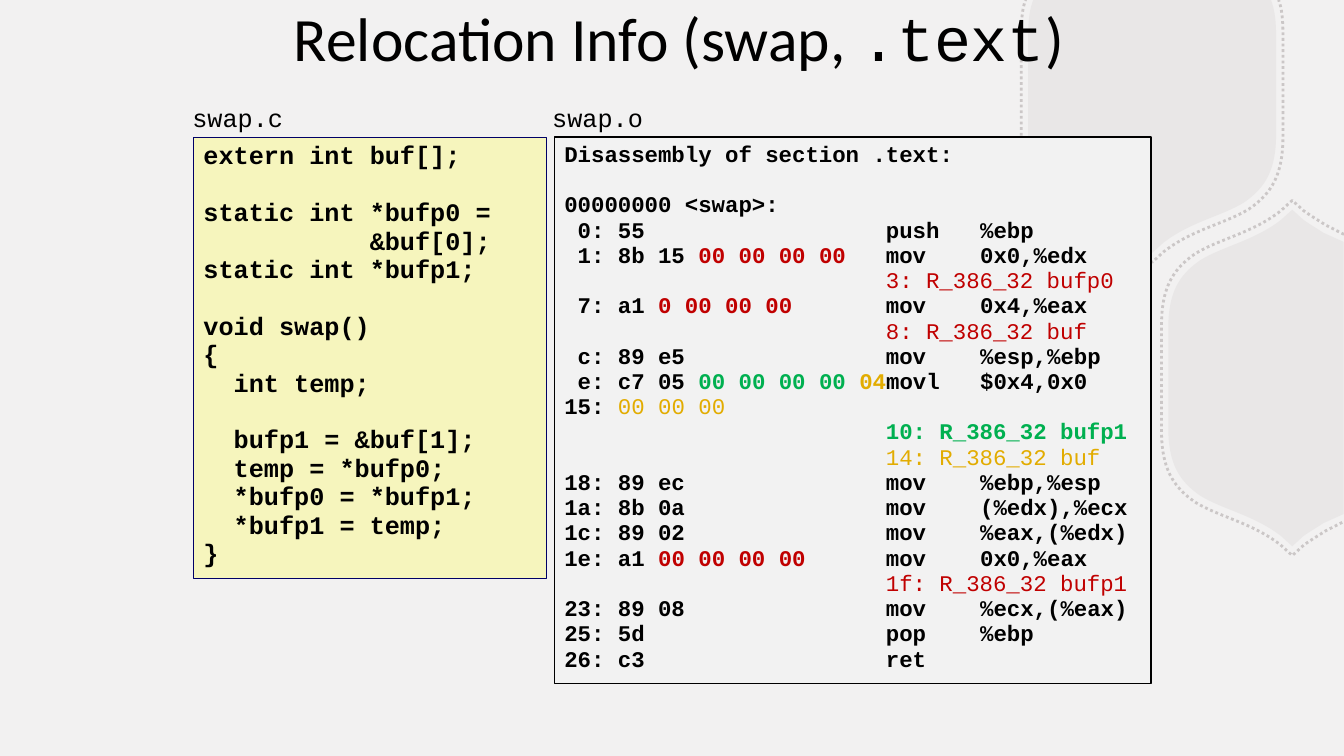
from dataclasses import dataclass

from lxml import etree
from pptx import Presentation
from pptx import util as u
from pptx.dml.color import RGBColor
from pptx.enum import dml, shapes, text
from pptx.oxml.ns import qn

# Grid: square cells, ten to the inch
CELL = u.Inches(0.1)
COLUMNS, ROWS = 133.33, 75

BLACK = RGBColor(0x00, 0x00, 0x00)
RED = RGBColor(0xC0, 0x00, 0x00)
GREEN = RGBColor(0x00, 0xB0, 0x50)
AMBER = RGBColor(0xE2, 0xAC, 0x00)
NAVY = RGBColor(0x00, 0x00, 0x66)
CREAM = RGBColor(0xF6, 0xF5, 0xBD)
PALE = RGBColor(0xF2, 0xF2, 0xF2)
PAPER = RGBColor(0xF2, 0xF1, 0xF1)
STONE = RGBColor(0xB8, 0xB2, 0xB2)

SANS, MONO = "Calibri", "Courier New"
LINE_SPACING = 0.94
GAP_PITCH = 1.13  # empty line as a share of the type size
MNEMONIC_TAB, OPERAND_TAB = 31.9, 41.25

Point = tuple[float, float]


@dataclass(frozen=True)
class Span:
    text: str
    color: RGBColor = BLACK
    bold: bool = True
    font: str = MONO


@dataclass(frozen=True)
class Line:
    spans: tuple[Span, ...]
    gap: bool = False  # one empty line above


@dataclass(frozen=True)
class Pane:
    label: str
    label_left: float
    left: float
    width: float
    height: float
    size: int
    fill: RGBColor
    edge: RGBColor
    edge_width: float
    lines: tuple[Line, ...]


@dataclass(frozen=True)
class Hexagon:
    center: Point
    mirror: Point  # signs that turn one arm into the other
    arm: tuple[Point, ...]  # from the slide's edge to the mirror axis
    strokes: tuple[int, ...]  # points per stroke: 1 line, 3 curve


def plain(code: str, gap: bool = False) -> Line:
    return Line((Span(code),), gap)


def patched(address: str, zeros: str, instruction: str) -> Line:
    return Line((Span(address), Span(zeros, RED), Span("\t" + instruction)))


def relocation(entry: str, color: RGBColor = RED, bold: bool = False) -> Line:
    return Line((Span("\t" + entry, color, bold),))


SOURCE = (
    plain("extern int buf[];"),
    plain("static int *bufp0 =", gap=True),
    plain("           &buf[0];"),
    plain("static int *bufp1;"),
    plain("void swap()", gap=True),
    plain("{"),
    plain("  int temp;"),
    plain("  bufp1 = &buf[1];", gap=True),
    plain("  temp = *bufp0;"),
    plain("  *bufp0 = *bufp1;"),
    plain("  *bufp1 = temp;"),
    plain("}"),
)
DISASSEMBLY = (
    plain("Disassembly of section .text:"),
    plain("00000000 <swap>:", gap=True),
    plain(" 0: 55\tpush\t%ebp"),
    patched(" 1: 8b 15 ", "00 00 00 00", "mov\t0x0,%edx"),
    relocation("3: R_386_32 bufp0"),
    patched(" 7: a1 ", "0 00 00 00", "mov\t0x4,%eax"),
    relocation("8: R_386_32 buf"),
    plain(" c: 89 e5\tmov\t%esp,%ebp"),
    Line((Span(" e: c7 05 "), Span("00 00 00 00 ", GREEN),
          Span("04", AMBER), Span("movl\t$0x4,0x0"))),
    Line((Span("15: "), Span("00 00 00", AMBER, False))),
    relocation("10: R_386_32 bufp1", GREEN, True),
    relocation("14: R_386_32 buf", AMBER),
    plain("18: 89 ec\tmov\t%ebp,%esp"),
    plain("1a: 8b 0a\tmov\t(%edx),%ecx"),
    plain("1c: 89 02\tmov\t%eax,(%edx)"),
    patched("1e: a1 ", "00 00 00 00", "mov\t0x0,%eax"),
    relocation("1f: R_386_32 bufp1"),
    plain("23: 89 08\tmov\t%ecx,(%eax)"),
    plain("25: 5d\tpop\t%ebp"),
    plain("26: c3\tret"),
)
PANES = (
    Pane("swap.o", 53.8, 55, 59.2, 54.2, 16, PALE, BLACK, 1, DISASSEMBLY),
    Pane("swap.c", 18.1, 19.2, 35, 43.8, 18, CREAM, NAVY, 0.25, SOURCE),
)
PANE_TOP, LABEL_TOP, LABEL_WIDTH, LABEL_HEIGHT = 13.6, 9.7, 11, 4

# Rounded corner from the side to the tip, lower right of the centre
CORNER = ((12.3, 4.9), (12.3, 8.4), (11.3, 10.2), (9.1, 11.7),
          (6.8, 13.1), (3.8, 13.6), (1.1, 15.7), (0, 16.7))
HEXAGONS = (
    Hexagon((114.3, 8.4), (-1, 1),
            ((11.8, -8.4), (11.9, -8.1), (12.2, -7.2), (12.3, -6.1), (12.3, -4.8), *CORNER),
            (1, 3, 1, 3, 3, 1)),
    Hexagon((128.2, 37.5), (1, -1),
            ((5.1, -13.5), (3.1, -14.4), (2.5, -14.8), (1.8, -15.2), (1.1, -15.7),
             *((-x, -y) for x, y in reversed(CORNER)), (-12.3, 0)),
            (1, 3, 1, 1, 3, 3, 1)),
)
HALO = 1.055  # dotted outline relative to the filled hexagon


def cells(count: float) -> u.Emu:
    return u.Emu(round(count * CELL))


def add_span(para, span: Span, size: float) -> None:
    run = para.add_run()
    run.text = span.text
    run.font.name, run.font.size = span.font, u.Pt(size)
    run.font.bold, run.font.color.rgb = span.bold, span.color


def add_tabs(para) -> None:
    tabs = etree.SubElement(para._p.get_or_add_pPr(), qn("a:tabLst"))
    for stop in (MNEMONIC_TAB, OPERAND_TAB):
        etree.SubElement(tabs, qn("a:tab"), pos=str(cells(stop)), algn="l")


def add_outline(page, hexagon: Hexagon, scale: float, closed: bool):
    (center_x, center_y), (sign_x, sign_y) = hexagon.center, hexagon.mirror
    other_arm = [(x * sign_x, y * sign_y) for x, y in reversed(hexagon.arm[:-1])]
    points = [(cells(min(center_x + x * scale, COLUMNS)), cells(max(center_y + y * scale, 0)))
              for x, y in (*hexagon.arm, *other_arm)]
    builder = page.shapes.build_freeform(*points[0])
    builder.add_line_segments(points[1:], close=closed)
    outline = builder.convert_to_shape()
    outline.shadow.inherit = False
    # Turn each run of three points into a curve
    segments = iter(list(outline.element.iter(qn("a:lnTo"))))
    for count in hexagon.strokes + hexagon.strokes[::-1]:
        stroke = [next(segments) for _ in range(count)]
        if count == 3:
            curve = etree.Element(qn("a:cubicBezTo"))
            stroke[0].addprevious(curve)
            for segment in stroke:
                curve.append(segment[0])
                segment.getparent().remove(segment)
    return outline


def add_alpha(fill, percent: int) -> None:
    color = fill._xPr.find(qn("a:solidFill"))[0]
    etree.SubElement(color, qn("a:alpha"), val=str(percent * 1000))


def add_body(page, hexagon: Hexagon):
    body = add_outline(page, hexagon, 1, True)
    body.fill.solid()
    body.fill.fore_color.rgb = STONE
    add_alpha(body.fill, 15)
    body.line.fill.background()
    return body


def add_halo(page, hexagon: Hexagon):
    halo = add_outline(page, hexagon, HALO, False)
    halo.fill.background()
    halo.line.color.rgb, halo.line.width = STONE, u.Pt(2)
    halo.line.dash_style = dml.MSO_LINE.ROUND_DOT
    add_alpha(halo.line.fill, 65)
    return halo


def add_title(page) -> None:
    title = page.shapes.title
    title.left, title.top, title.width, title.height = map(cells, (19.7, 0, 95.3, 8.6))
    frame = title.text_frame
    frame.auto_size = text.MSO_AUTO_SIZE.NONE
    frame.vertical_anchor = text.MSO_ANCHOR.MIDDLE
    para = frame.paragraphs[0]
    para.alignment, para.line_spacing = text.PP_ALIGN.CENTER, 0.82
    for words, font in (("Relocation Info (swap, ", SANS), (".text", MONO), (")", SANS)):
        add_span(para, Span(words, bold=False, font=font), 44)


def add_pane(page, pane: Pane) -> None:
    box = page.shapes.add_shape(shapes.MSO_SHAPE.RECTANGLE, *map(
        cells, (pane.left, PANE_TOP, pane.width, pane.height)))
    box.shadow.inherit = False
    box.fill.solid()
    box.fill.fore_color.rgb = pane.fill
    box.line.color.rgb, box.line.width = pane.edge, u.Pt(pane.edge_width)
    frame = box.text_frame
    frame.word_wrap, frame.vertical_anchor = True, text.MSO_ANCHOR.TOP
    for index, line in enumerate(pane.lines):
        para = frame.add_paragraph() if index else frame.paragraphs[0]
        add_tabs(para)
        para.alignment, para.line_spacing = text.PP_ALIGN.LEFT, LINE_SPACING
        if line.gap:
            para.space_before = u.Pt(round(pane.size * GAP_PITCH, 1))
        for span in line.spans:
            add_span(para, span, pane.size)
    # File name above the pane
    label = page.shapes.add_textbox(*map(
        cells, (pane.label_left, LABEL_TOP, LABEL_WIDTH, LABEL_HEIGHT)))
    label.text_frame.word_wrap = False
    add_span(label.text_frame.paragraphs[0], Span(pane.label, bold=False), 18)


def main() -> None:
    deck = Presentation()
    deck.slide_width, deck.slide_height = cells(COLUMNS), cells(ROWS)
    backdrop = deck.slide_master
    backdrop.background.fill.solid()
    backdrop.background.fill.fore_color.rgb = PAPER
    page = deck.slides.add_slide(deck.slide_layouts.get_by_name("Title Only"))
    # Hexagons belong to the master, behind the slide's own parts
    for add_part in (add_body, add_halo):
        for hexagon in HEXAGONS:
            backdrop.shapes.element.append(add_part(page, hexagon).element)
    add_title(page)
    for pane in PANES:
        add_pane(page, pane)
    deck.save("out.pptx")


if __name__ == "__main__":
    main()
